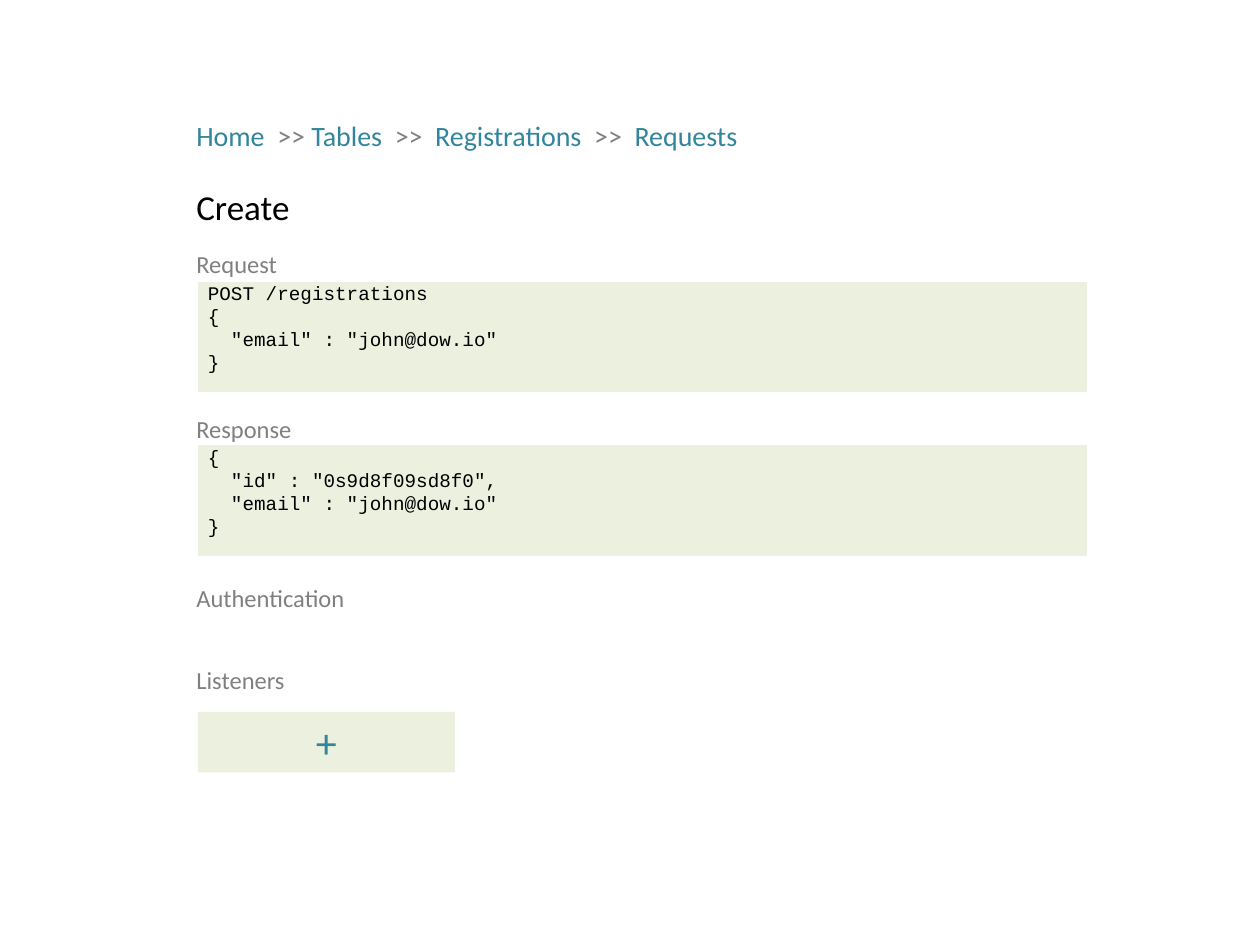
from pptx import Presentation
from pptx.dml.color import RGBColor
from pptx.enum.shapes import MSO_SHAPE
from pptx.enum.text import MSO_ANCHOR, MSO_AUTO_SIZE, PP_ALIGN
from pptx.util import Inches, Pt

TEAL = RGBColor(0x31, 0x85, 0x9C)
GRAY = RGBColor(0x80, 0x80, 0x80)
BLACK = RGBColor(0, 0, 0)
WHITE = RGBColor(255, 255, 255)
PALE = RGBColor(0xEB, 0xF1, 0xDE)

SANS, MONO = "Calibri", "Courier New"
TEXT_X, BOX_X = 1.46, 1.57

# Breadcrumb runs alternate between link and separator
TRAIL = ["Home", "  >> ", "Tables", "  >> ", " Registrations", "  >>  ", "Requests"]

# Label, top, width
LABELS = [
    ("Request", 1.93, 0.85),
    ("Response", 3.24, 0.97),
    ("Authentication", 4.58, 1.39),
    ("Listeners", 5.23, 0.92),
]

# Top, lines of code
CODES = [
    (2.23, ["POST /registrations", "{ ", '  "email" : "john@dow.io"', "} "]),
    (3.53, ["{ ", '  "id" : "0s9d8f09sd8f0",', '  "email" : "john@dow.io"', "} "]),
]


def style(run, size, color, face=SANS):
    """Set the font of one run."""
    run.font.name = face
    run.font.size = Pt(size)
    run.font.color.rgb = color


def add_line(slide, parts, top, width, height, size):
    """Add one line of text from (text, colour) parts."""
    box = slide.shapes.add_textbox(
        Inches(TEXT_X), Inches(top), Inches(width), Inches(height))
    frame = box.text_frame
    frame.word_wrap = False
    frame.auto_size = MSO_AUTO_SIZE.SHAPE_TO_FIT_TEXT
    for text, color in parts:
        run = frame.paragraphs[0].add_run()
        run.text = text
        style(run, size, color)


def add_panel(slide, lines, top, width, height, inset, anchor, align, font):
    """Add a pale box with text and return it."""
    box = slide.shapes.add_shape(
        MSO_SHAPE.RECTANGLE,
        Inches(BOX_X), Inches(top), Inches(width), Inches(height))
    box.shadow.inherit = False
    box.fill.solid()
    box.fill.fore_color.rgb = PALE
    box.line.fill.background()
    frame = box.text_frame
    frame.margin_left = Inches(inset)
    frame.margin_right = frame.margin_top = frame.margin_bottom = 0
    frame.vertical_anchor = anchor
    frame.text = "\n".join(lines)
    for para in frame.paragraphs:
        para.alignment = align
        style(para.runs[0], *font)
    return box


deck = Presentation()
deck.slide_width, deck.slide_height = Inches(10), Inches(7.5)
slide = deck.slides.add_slide(deck.slide_layouts[6])

for top, lines in CODES:
    panel = add_panel(slide, lines, top, 7.06, 0.89, 0.08,
                      MSO_ANCHOR.TOP, PP_ALIGN.LEFT, (11, BLACK, MONO))
    panel.line.color.rgb = WHITE
    panel.line.width = Pt(0.75)

trail = [(text, GRAY if i % 2 else TEAL) for i, text in enumerate(TRAIL)]
add_line(slide, trail, 0.89, 4.59, 0.37, 16)
add_line(slide, [("Create", BLACK)], 1.42, 0.96, 0.44, 20)
for text, top, width in LABELS:
    add_line(slide, [(text, GRAY)], top, width, 0.34, 14)

add_panel(slide, ["+"], 5.65, 2.04, 0.48, 0,
          MSO_ANCHOR.MIDDLE, PP_ALIGN.CENTER, (24, TEAL))

deck.save("out.pptx")
